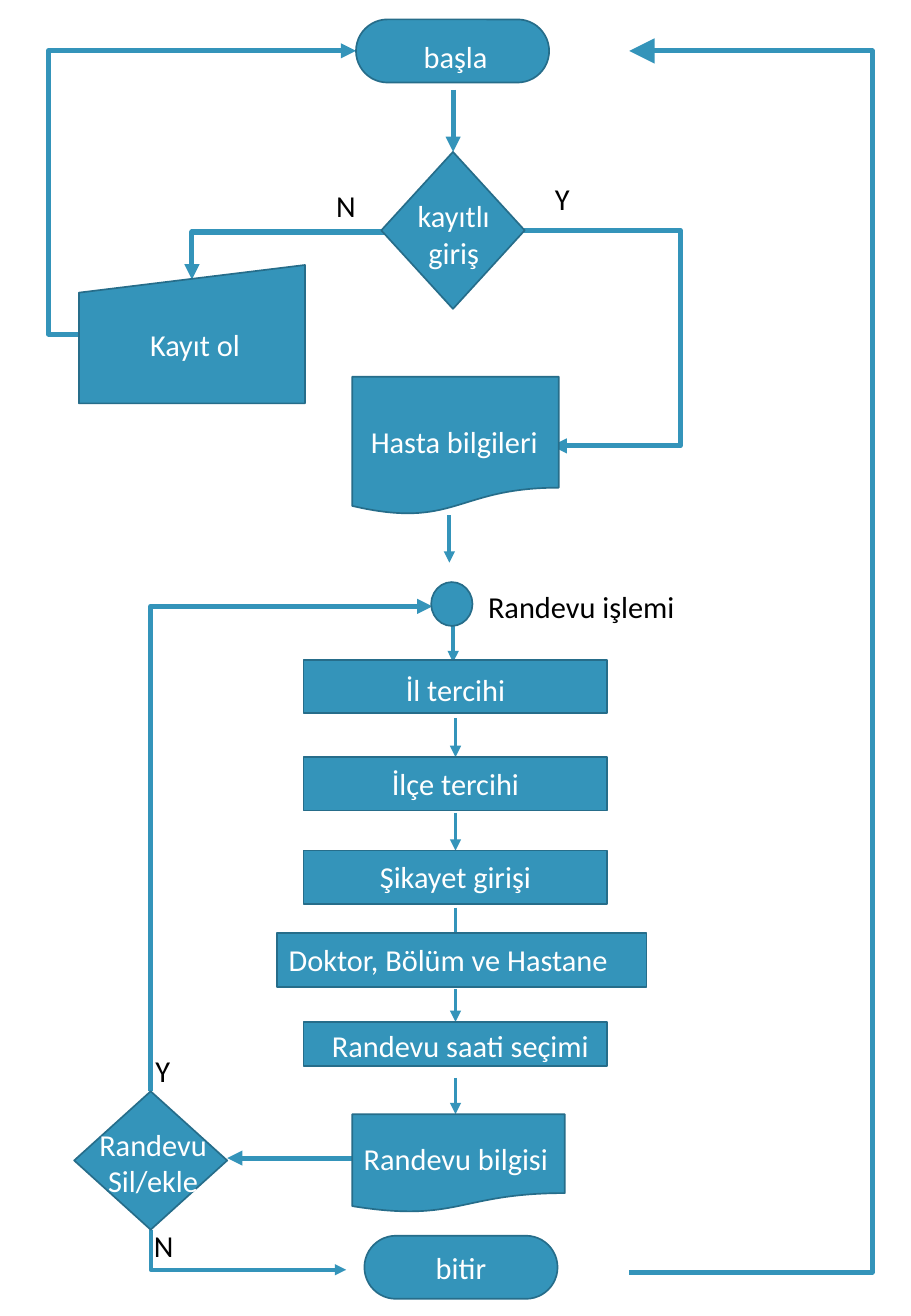
from lxml.etree import SubElement
from pptx import Presentation
from pptx.dml.color import RGBColor
from pptx.enum.shapes import MSO_CONNECTOR, MSO_SHAPE
from pptx.enum.text import MSO_ANCHOR, PP_ALIGN
from pptx.oxml.ns import qn
from pptx.util import Pt

SLIDE = (540, 779.76)
COLORS = {"fill": "3494BA", "outline": "266D8A", "on_fill": "FFFFFF", "label": "000000"}
FONT = {"name": "Calibri", "size": Pt(18)}
STEP_LEFT, STEP_WIDTH, STEP_HEIGHT = 180, 180, 31.7
STEP_AXIS = STEP_LEFT + STEP_WIDTH / 2
THICK, THIN = 3, 2.25

# text, shape, (left, top, width, height), (text shift right, text shift down)
NODES = [
    ("başla", MSO_SHAPE.ROUNDED_RECTANGLE, (211, 11.5, 114.5, 37.4), (1.8, 2.9)),
    ("kayıtlı\ngiriş", MSO_SHAPE.DIAMOND, (226, 90, 85, 93), (0.5, 2)),
    ("Kayıt ol", MSO_SHAPE.FLOWCHART_MANUAL_INPUT, (46.8, 157, 134, 82), (1.8, -2.4)),
    ("Hasta bilgileri", MSO_SHAPE.FLOWCHART_DOCUMENT, (208.8, 223.2, 122.4, 82), (-0.7, 5.3)),
    ("", MSO_SHAPE.OVAL, (255.6, 344.9, 24.5, 26), (0, 0)),
    ("İl tercihi", MSO_SHAPE.RECTANGLE, (STEP_LEFT, 391, STEP_WIDTH, STEP_HEIGHT), (0, 1.4)),
    ("İlçe tercihi", MSO_SHAPE.RECTANGLE, (STEP_LEFT, 448.6, STEP_WIDTH, STEP_HEIGHT), (0, 0)),
    ("Şikayet girişi", MSO_SHAPE.RECTANGLE, (STEP_LEFT, 504, STEP_WIDTH, STEP_HEIGHT), (0, -0.7)),
    ("Doktor, Bölüm ve Hastane", MSO_SHAPE.RECTANGLE, (164.2, 553, 219, STEP_HEIGHT), (-8, -0.7)),
    ("Randevu saati seçimi", MSO_SHAPE.RECTANGLE, (STEP_LEFT, 605.5, STEP_WIDTH, 26), (2.9, 0.7)),
    ("Randevu bilgisi", MSO_SHAPE.FLOWCHART_DOCUMENT, (208.8, 660.2, 126, 58.3), (-1.6, 2.5)),
    ("Randevu\nSil/ekle", MSO_SHAPE.DIAMOND, (44, 646.6, 90.7, 82), (1.4, 1)),
    ("bitir", MSO_SHAPE.ROUNDED_RECTANGLE, (216, 732.2, 114.5, 37.4), (0, 0)),
]

# text, left, top, width
LABELS = [
    ("Y", 321.8, 103, 67),
    ("N", 192.2, 107.3, 67),
    ("Y", 85, 620, 67),
    ("N", 84.2, 723.6, 67),
    ("Randevu işlemi", 282.2, 345, 140.4),
]

# start, end, line width, step whose top the arrow joins
STRAIGHT_ARROWS = [
    ((268.6, 53.3), (268.6, 90), THICK, None),
    ((266.4, 305.3), (266.4, 333.4), THIN, None),
    ((268.6, 370.8), (268.6, 392.4), THIN, None),
    ((STEP_AXIS, 425.5), (STEP_AXIS, 447.1), THIN, "İlçe tercihi"),
    ((STEP_AXIS, 481.7), (STEP_AXIS, 503.3), THIN, "Şikayet girişi"),
    ((STEP_AXIS, 537.8), (STEP_AXIS, 559.4), THIN, None),
    ((STEP_AXIS, 586), (STEP_AXIS, 605.5), THIN, "Randevu saati seçimi"),
    ((STEP_AXIS, 638.6), (STEP_AXIS, 660.2), THIN, None),
    ((208.8, 686.2), (134.7, 686.2), THICK, None),
]

# start, end, x of the vertical part, line width, end with the arrowhead
BENT_ARROWS = [
    ((46.8, 198), (211, 30.2), 28.8, THICK, "tailEnd"),
    ((113.8, 165.6), (236.2, 137.5), 113.8, THICK, "headEnd"),
    ((307.4, 136.4), (327, 264.2), 403.2, THICK, "tailEnd"),
    ((89.3, 646.6), (256.3, 359.3), 89.3, THICK, "tailEnd"),
    ((89.3, 728.6), (205.2, 752.4), 89.3, THIN, "tailEnd"),
]
RETURN_BRACKET = (373, 30.2, 144, 723.6)


def rgb(key):
    return RGBColor.from_string(COLORS[key])


def set_line(shape, color, width, arrow_end=None, arrow_size="med"):
    shape.line.color.rgb = rgb(color)
    shape.line.width = Pt(width)
    if arrow_end:
        outline = shape.line._get_or_add_ln()
        SubElement(outline, qn("a:" + arrow_end), type="triangle", w=arrow_size, len=arrow_size)


def add_arrow(slide, kind, start, end, width, arrow_end="tailEnd"):
    arrow = slide.shapes.add_connector(kind, *map(Pt, start + end))
    set_line(arrow, "fill", width, arrow_end)
    SubElement(arrow._element.spPr, qn("a:effectLst"))
    return arrow


def add_bent_arrow(slide, start, end, bend_x, width, arrow_end):
    arrow = add_arrow(slide, MSO_CONNECTOR.ELBOW, start, end, width, arrow_end)
    bend = round((bend_x - start[0]) / (end[0] - start[0]) * 100000)
    geometry = arrow._element.spPr.find(qn("a:prstGeom"))
    guides = geometry.find(qn("a:avLst"))
    if guides is None:
        guides = SubElement(geometry, qn("a:avLst"))
    SubElement(guides, qn("a:gd"), name="adj1", fmla=f"val {bend}")


def write(frame, text, color, align):
    frame.text = text
    for paragraph in frame.paragraphs:
        paragraph.alignment = align
        for key, value in FONT.items():
            setattr(paragraph.font, key, value)
        paragraph.font.color.rgb = rgb(color)


def add_node(slide, text, kind, box, shift):
    """Add a filled shape; a margin of twice the shift moves its centred text."""
    node = slide.shapes.add_shape(kind, *map(Pt, box))
    node.shadow.inherit = False
    node.fill.solid()
    node.fill.fore_color.rgb = rgb("fill")
    set_line(node, "outline", 1)
    if kind == MSO_SHAPE.ROUNDED_RECTANGLE:
        node.adjustments[0] = 0.5
    right, down = shift
    layout = {
        "word_wrap": False,
        "vertical_anchor": MSO_ANCHOR.MIDDLE,
        "margin_left": Pt(max(0, 2 * right)),
        "margin_right": Pt(max(0, -2 * right)),
        "margin_top": Pt(max(0, 2 * down)),
        "margin_bottom": Pt(max(0, -2 * down)),
    }
    for key, value in layout.items():
        setattr(node.text_frame, key, value)
    if text:
        write(node.text_frame, text, "on_fill", PP_ALIGN.CENTER)
    return node


def add_return_bracket(slide):
    bracket = slide.shapes.add_shape(MSO_SHAPE.RIGHT_BRACKET, *map(Pt, RETURN_BRACKET))
    bracket.shadow.inherit = False
    bracket.adjustments[0] = 0
    bracket.fill.background()
    set_line(bracket, "fill", THICK, "headEnd", "lg")


def main():
    deck = Presentation()
    deck.slide_width, deck.slide_height = map(Pt, SLIDE)
    slide = deck.slides.add_slide(deck.slide_layouts[6])
    joins = []
    for start, end, width, step in STRAIGHT_ARROWS:
        arrow = add_arrow(slide, MSO_CONNECTOR.STRAIGHT, start, end, width)
        if step:
            joins.append((arrow, step))
    for bent_arrow in BENT_ARROWS:
        add_bent_arrow(slide, *bent_arrow)
    nodes = {node[0]: add_node(slide, *node) for node in NODES}
    for arrow, step in joins:
        arrow.end_connect(nodes[step], 0)
    for text, left, top, width in LABELS:
        label = slide.shapes.add_textbox(Pt(left), Pt(top), Pt(width), Pt(29))
        label.text_frame.word_wrap = True
        write(label.text_frame, text, "label", PP_ALIGN.LEFT)
    add_return_bracket(slide)
    deck.save("out.pptx")


if __name__ == "__main__":
    main()
